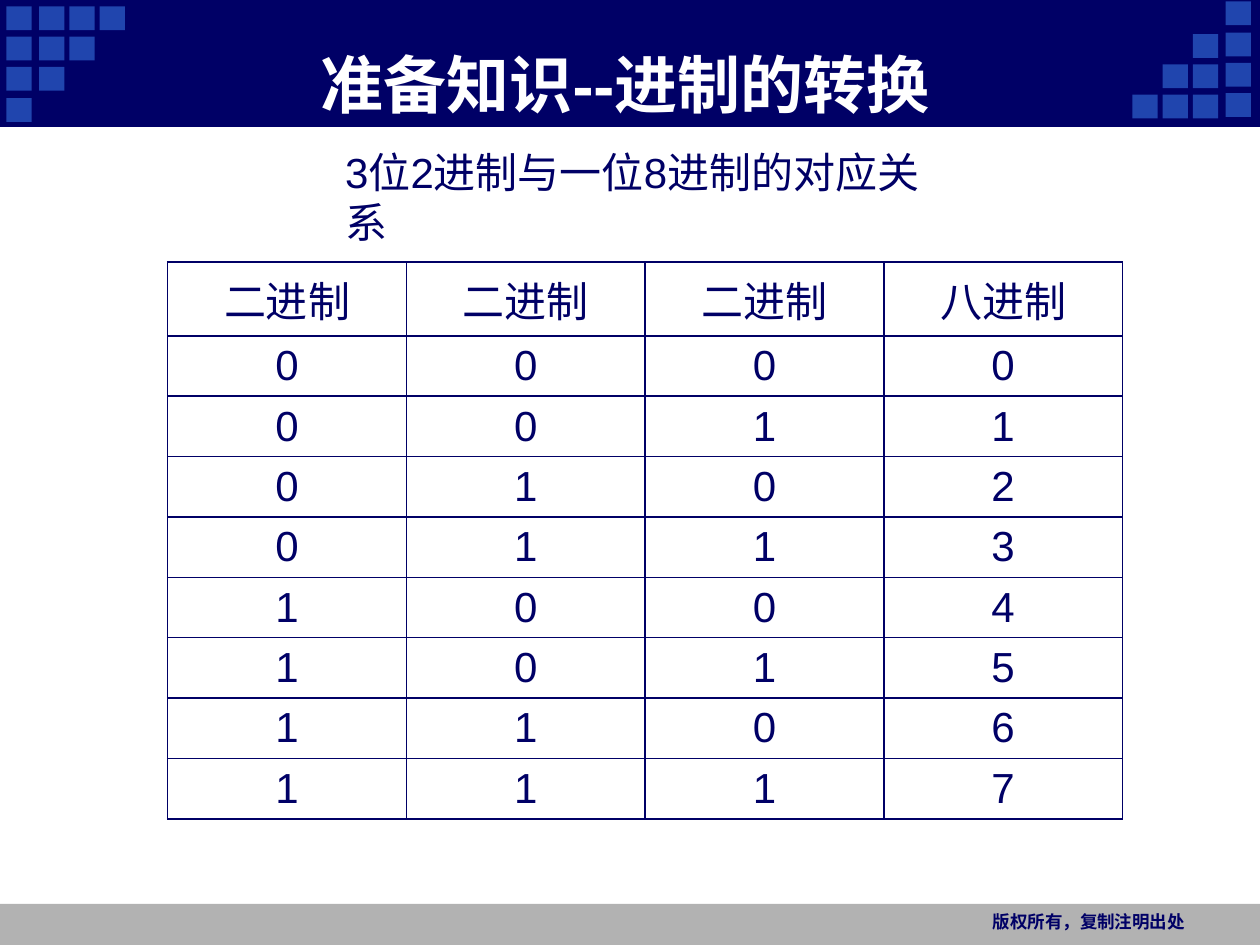
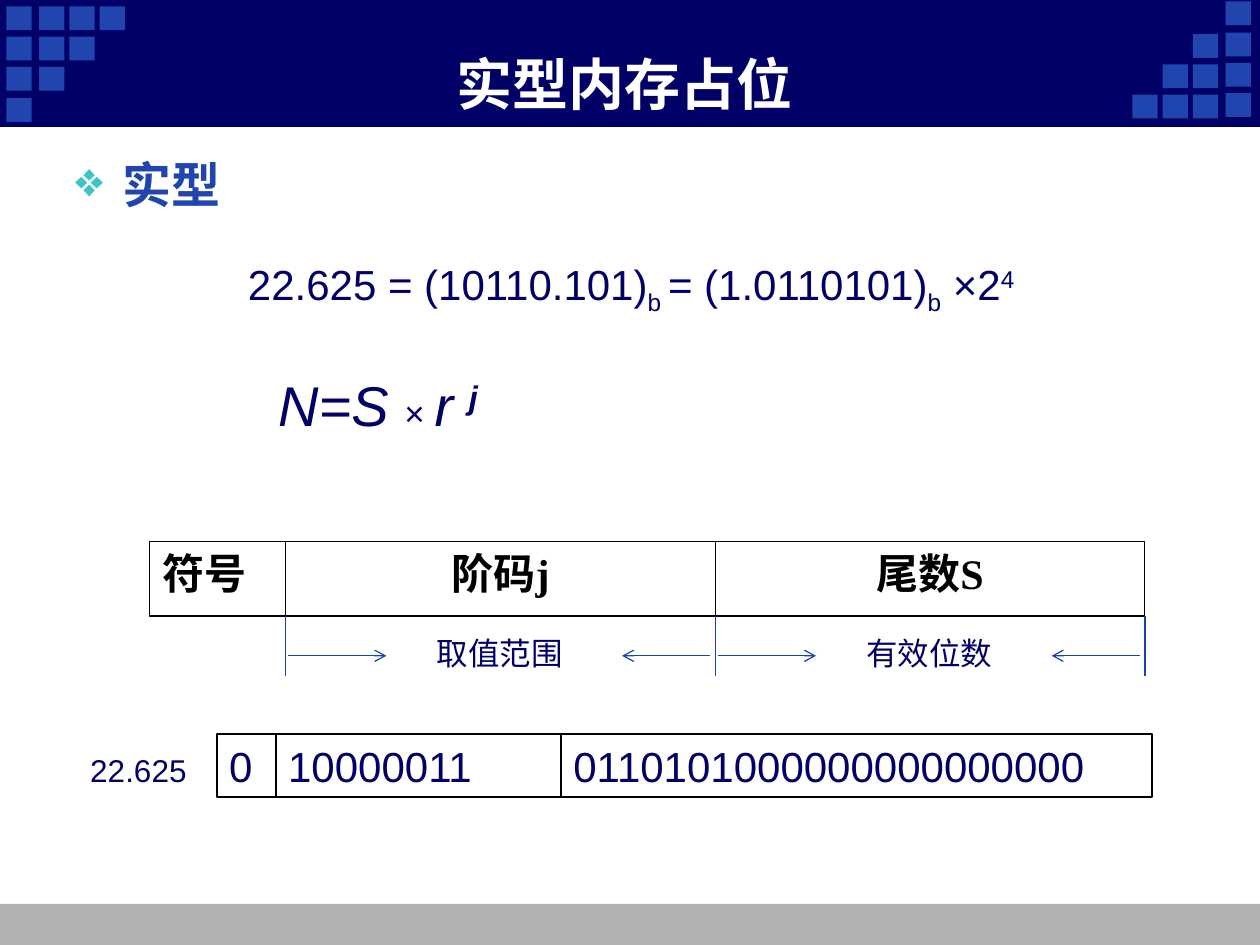
"""Build two lecture slides on number bases and floating-point storage."""
import itertools

import pptx
import pptx.dml.color
import pptx.enum.shapes
import pptx.enum.text
import pptx.oxml
import pptx.oxml.ns
import pptx.util

Cm = pptx.util.Cm
Pt = pptx.util.Pt
RGB = pptx.dml.color.RGBColor
ALIGN = pptx.enum.text.PP_ALIGN
ANCHOR = pptx.enum.text.MSO_ANCHOR
RECTANGLE = pptx.enum.shapes.MSO_SHAPE.RECTANGLE
STRAIGHT = pptx.enum.shapes.MSO_CONNECTOR.STRAIGHT

NAVY = RGB(0x00, 0x00, 0x66)
TILE_BLUE = RGB(0x20, 0x45, 0xAE)
ARROW_BLUE = RGB(0x1C, 0x42, 0xAE)
TEAL = RGB(0x3D, 0xC5, 0xC5)
GREY = RGB(0xB2, 0xB2, 0xB2)
WHITE = RGB(0xFF, 0xFF, 0xFF)
BLACK = RGB(0x00, 0x00, 0x00)

SLIDE_WIDTH, SLIDE_HEIGHT = 25.4, 19.05
BAND_HEIGHT, FOOTER_HEIGHT = 2.54, 0.83
TILE_WIDTH, TILE_HEIGHT = 0.51, 0.48
TILE_COLUMNS = (0, 0.66, 1.27, 1.88)
TILE_ROWS = (0, 0.61, 1.22, 1.85)


def xml(tag, attributes="", children=""):
    """Make one DrawingML element."""
    namespace = pptx.oxml.ns.nsdecls("a")
    return pptx.oxml.parse_xml(f"<a:{tag} {namespace} {attributes}>{children}</a:{tag}>")


def write(paragraph, text, size=24, font="Arial", color=NAVY, bold=False,
          italic=False, baseline=0, align=ALIGN.LEFT):
    """Add a formatted run to a paragraph."""
    paragraph.alignment = align
    run = paragraph.add_run()
    run.text = text
    run.font.size = Pt(size)
    run.font.name = font
    run.font.color.rgb = color
    run.font.bold = bold
    run.font.italic = italic
    if baseline:
        run._r.get_or_add_rPr().set("baseline", str(baseline * 1000))


def text_area(slide, x, y, width, height, anchor=ANCHOR.MIDDLE, wrap=True):
    """Add a text box and return its first paragraph."""
    frame = slide.shapes.add_textbox(Cm(x), Cm(y), Cm(width), Cm(height)).text_frame
    frame.word_wrap = wrap
    frame.vertical_anchor = anchor
    return frame.paragraphs[0]


def rectangle(shapes, x, y, width, height, fill, line=None, line_width=0.75):
    """Add a flat rectangle."""
    shape = shapes.add_shape(RECTANGLE, Cm(x), Cm(y), Cm(width), Cm(height))
    shape.shadow.inherit = False
    shape.fill.solid()
    shape.fill.fore_color.rgb = fill
    if line is None:
        shape.line.fill.background()
    else:
        shape.line.color.rgb = line
        shape.line.width = Pt(line_width)
    return shape


def connect(slide, x1, y1, x2, y2, arrow=False):
    """Draw a thin line, with an open arrowhead at its end on request."""
    line = slide.shapes.add_connector(STRAIGHT, Cm(x1), Cm(y1), Cm(x2), Cm(y2))
    line.line.color.rgb = ARROW_BLUE
    line.line.width = Pt(0.75)
    if arrow:
        line.line._get_or_add_ln().append(xml("tailEnd", 'type="arrow"'))
    line._element.spPr.append(xml("effectLst"))


def corner_tiles(slide, x, y, direction, lift=0):
    """Stack a triangle of tiles from a corner, raising the outer column by lift."""
    tiles = slide.shapes.add_group_shape().shapes
    for row, column in itertools.product(range(4), repeat=2):
        if row + column < 4:
            rise = 0 if column else lift
            rectangle(tiles, x + direction * TILE_COLUMNS[column],
                      y + direction * TILE_ROWS[row] - rise,
                      TILE_WIDTH, TILE_HEIGHT, TILE_BLUE)


def add_framed_slide(deck, title, title_size):
    """Add a slide with the shared bands, corner tiles and title."""
    slide = deck.slides.add_slide(deck.slide_layouts[6])
    rectangle(slide.shapes, 0, SLIDE_HEIGHT - FOOTER_HEIGHT, SLIDE_WIDTH, FOOTER_HEIGHT, GREY)
    rectangle(slide.shapes, 0, 0, SLIDE_WIDTH, BAND_HEIGHT, NAVY, NAVY)
    corner_tiles(slide, 0.13, 0.13, 1)
    corner_tiles(slide, 24.71, 1.91, -1, lift=0.03)
    write(text_area(slide, 2.34, 0.89, 20.52, 1.57), title, size=title_size,
          color=WHITE, bold=True, align=ALIGN.CENTER)
    return slide


def octal_table(slide, x, y, width, header_height=1.49, row_height=1.2):
    """List every three-bit pattern with its octal digit."""
    rows = [["二进制"] * 3 + ["八进制"]]
    rows += [[*f"{number:03b}", str(number)] for number in range(8)]
    table = slide.shapes.add_table(len(rows), 4, Cm(x), Cm(y), Cm(width),
                                   Cm(header_height + 8 * row_height)).table
    table.first_row = table.horz_banding = False
    border = f'<a:solidFill><a:srgbClr val="{NAVY}"/></a:solidFill>'
    for column in table.columns:
        column.width = Cm(width / 4)
    for index, values in enumerate(rows):
        table.rows[index].height = Cm(row_height if index else header_height)
        for cell, value in zip(table.rows[index].cells, values):
            cell.margin_top = cell.margin_bottom = Cm(0.1)
            cell.vertical_anchor = ANCHOR.MIDDLE
            properties = cell._tc.get_or_add_tcPr()
            for side in ("lnL", "lnR", "lnT", "lnB"):
                properties.append(xml(side, f'w="{Pt(1)}"', border))
            cell.fill.background()
            write(cell.text_frame.paragraphs[0], value, align=ALIGN.CENTER)


def field_row(slide, x, y, height, fields, line_width, anchor, **style):
    """Place adjoining fields given as text, width and alignment."""
    for text, width, align in fields:
        field = rectangle(slide.shapes, x, y, width, height, WHITE, BLACK, line_width)
        field.text_frame.word_wrap = True
        field.text_frame.vertical_anchor = anchor
        write(field.text_frame.paragraphs[0], text, align=align, **style)
        x += width


def span_marker(slide, x, y, width, label):
    """Mark a span with a centred label between two inward arrows."""
    arrow_y = y + 0.8
    connect(slide, x + 0.05, arrow_y, x + 2.03, arrow_y, arrow=True)
    connect(slide, x + width - 0.1, arrow_y, x + width - 1.88, arrow_y, arrow=True)
    label_width = 3.07
    write(text_area(slide, x + (width - label_width) / 2, y + 0.23, label_width, 1.02,
                    wrap=False), label, size=18)


def storage_layout(slide, x, y, height=1.5, sign_width=2.74, span=8.66):
    """Show the sign, exponent and mantissa fields and what they govern."""
    fields = [("符号", sign_width, ALIGN.JUSTIFY), ("阶码j", span, ALIGN.CENTER),
              ("尾数S", span, ALIGN.CENTER)]
    field_row(slide, x, y, height, fields, 0.75, ANCHOR.TOP,
              font="Times New Roman", color=BLACK, bold=True)
    bottom, exponent_x = y + height, x + sign_width
    for boundary in range(3):
        boundary_x = exponent_x + boundary * span
        connect(slide, boundary_x, bottom, boundary_x, bottom + 1.2)
    for index, label in enumerate(("取值范围", "有效位数")):
        span_marker(slide, exponent_x + index * span, bottom, span, label)


def stored_bits(slide, x, y):
    """Show the stored bits of the example number beside its decimal form."""
    write(text_area(slide, x, y + 0.21, 2.46, 1.02, wrap=False), "22.625", size=18)
    bits = [("0", 1.19, ALIGN.LEFT), ("10000011", 5.75, ALIGN.LEFT),
            ("0110101000000000000000", 11.91, ALIGN.LEFT)]
    field_row(slide, x + 2.8, y, 1.27, bits, 1, ANCHOR.MIDDLE)


def topic_bullet(slide, x, y, width, text):
    """Write the topic with a diamond bullet."""
    paragraph = text_area(slide, x, y, width, 1.5, ANCHOR.TOP)
    properties = paragraph._p.get_or_add_pPr()
    properties.set("marL", str(Cm(0.95)))
    properties.set("indent", str(Cm(-0.95)))
    properties.append(xml("buClr", "", f'<a:srgbClr val="{TEAL}"/>'))
    properties.append(xml("buChar", 'char="❖"'))
    write(paragraph, text, size=28, font="Courier New", color=TILE_BLUE, bold=True)


def formulas(slide, x, y):
    """Write the normalised example and the general form."""
    example = text_area(slide, x, y, 16.61, 1.27)
    for text, baseline in (("22.625 = (10110.101)", 0), ("b ", -25), ("= (1.0110101)", 0),
                           ("b", -25), (" ×2", 0), ("4", 30)):
        write(example, text, baseline=baseline)
    general = text_area(slide, x + 0.61, y + 2.18, 5.26, 1.6, ANCHOR.TOP)
    write(general, "N=S ", size=32, italic=True)
    write(general, "× ", size=20)
    write(general, "r ", size=32, italic=True)
    write(general, "j", size=32, italic=True, bold=True, baseline=30)


def base_conversion_slide(deck):
    """Build the slide on binary and octal digits."""
    slide = add_framed_slide(deck, "准备知识--进制的转换", 36)
    octal_table(slide, 3.38, 5.28, 19.25)
    write(text_area(slide, 19.3, 18.24, 4.83, 0.81, ANCHOR.TOP), "版权所有，复制注明出处",
          size=10, font="Courier New", bold=True, align=ALIGN.RIGHT)
    write(text_area(slide, 6.71, 2.82, 12.9, 2.29), "3位2进制与一位8进制的对应关系")


def real_storage_slide(deck):
    """Build the slide on how real numbers are stored."""
    slide = add_framed_slide(deck, "实型内存占位", 32)
    topic_bullet(slide, 1.27, 3, 22.86, "实型")
    formulas(slide, 4.75, 5.16)
    storage_layout(slide, 3.02, 10.92)
    stored_bits(slide, 1.57, 14.8)


def main():
    """Build and save the deck."""
    deck = pptx.Presentation()
    deck.slide_width, deck.slide_height = Cm(SLIDE_WIDTH), Cm(SLIDE_HEIGHT)
    base_conversion_slide(deck)
    real_storage_slide(deck)
    deck.save("out.pptx")


if __name__ == "__main__":
    main()
